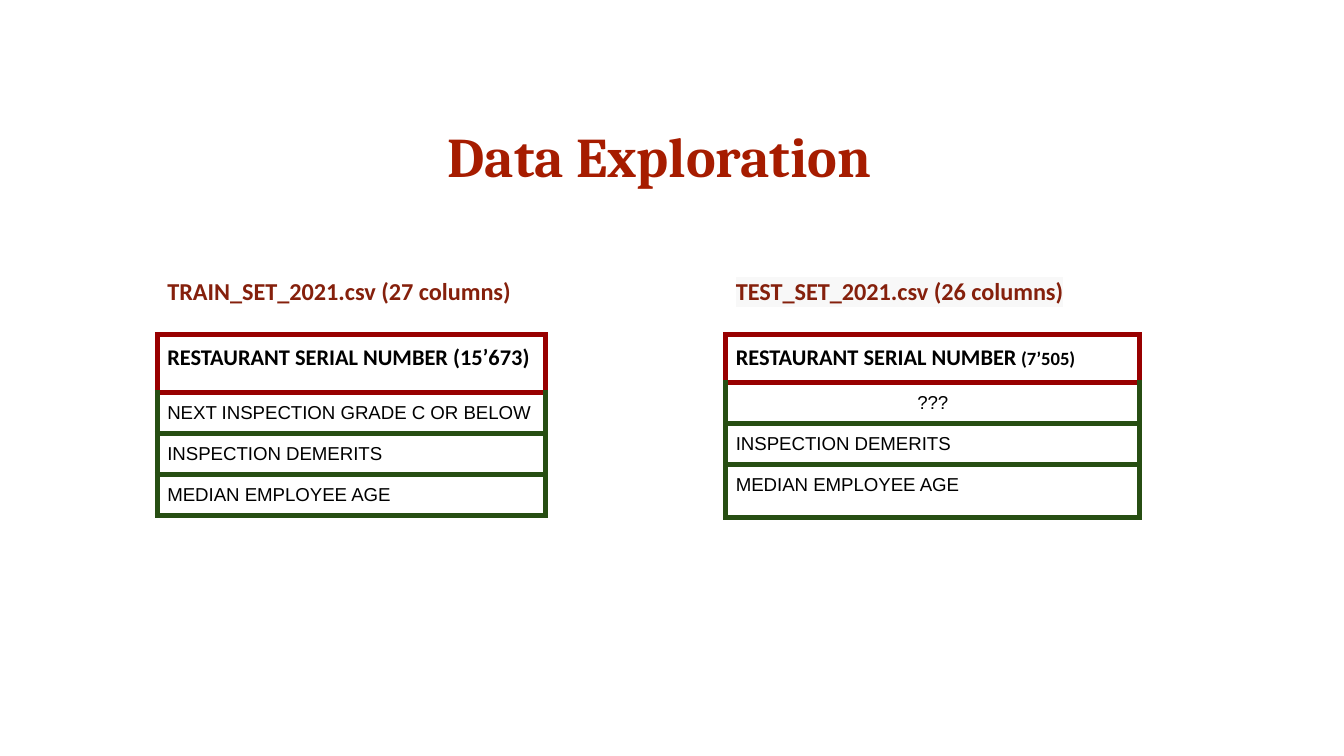
from dataclasses import dataclass

from lxml.etree import SubElement
from pptx import Presentation
from pptx.dml.color import RGBColor
from pptx.enum.shapes import MSO_SHAPE
from pptx.enum.text import MSO_ANCHOR, PP_ALIGN
from pptx.oxml.ns import qn
from pptx.util import Inches, Pt


@dataclass(frozen=True)
class Theme:
    title: str = "A61C00"
    caption: str = "85200C"
    text: str = "000000"
    paper: str = "FFFFFF"
    highlight: str = "F8F8F8"
    key_border: str = "980000"
    field_border: str = "274E13"
    title_size: int = 30
    caption_size: int = 13
    key_size: int = 12
    field_size: int = 10
    border: int = 3
    title_inset: float = 7.2
    inset: float = 5.4


THEME = Theme()
WIDTH = 10
HEIGHT = WIDTH * 9 / 16
TITLE = "Data Exploration"
UNKNOWN = "???"
DATASETS = [
    {
        "caption": "TRAIN_SET_2021.csv (27 columns)",
        "highlighted": False,
        "key": [("RESTAURANT SERIAL NUMBER (15’673)", THEME.key_size)],
        "fields": ["NEXT INSPECTION GRADE C OR BELOW", "INSPECTION DEMERITS",
                   "MEDIAN EMPLOYEE AGE"],
        "left": 1.17, "width": 2.89, "caption_width": 2.89,
        "rows": [0.43, 0.3, 0.3, 0.3],
    },
    {
        "caption": "TEST_SET_2021.csv (26 columns)",
        "highlighted": True,
        "key": [("RESTAURANT SERIAL NUMBER", THEME.key_size),
                (" (7’505)", THEME.field_size)],
        "fields": [UNKNOWN, "INSPECTION DEMERITS", "MEDIAN EMPLOYEE AGE"],
        "left": 5.4, "width": 3.08, "caption_width": 2.84,
        "rows": [0.35, 0.3, 0.3, 0.4],
    },
]
CAPTION_TOP, CAPTION_HEIGHT, TABLE_TOP = 1.98, 0.37, 2.49


def style(paragraph, face, size, color, bold=False, align=PP_ALIGN.LEFT):
    paragraph.alignment = align
    font = paragraph.font
    font.name, font.size, font.bold = face, Pt(size), bold
    font.color.rgb = RGBColor.from_string(color)


def set_margins(holder, inset):
    holder.margin_left = holder.margin_right = Pt(inset)
    holder.margin_top = holder.margin_bottom = Pt(inset)


def add_color(parent, tag, color):
    SubElement(SubElement(parent, qn(tag)), qn("a:srgbClr"), val=color)


def set_borders(cell, color, top_color):
    properties = cell._tc.get_or_add_tcPr()
    for side in "LRTB":
        line = SubElement(properties, qn(f"a:ln{side}"), w=str(Pt(THEME.border)))
        add_color(line, "a:solidFill", top_color if side == "T" else color)


def add_title(slide):
    title = slide.shapes.title
    title.left, title.top = Inches(3.23), Inches(0.8)
    title.width, title.height = Inches(3.54), Inches(0.71)
    frame = title.text_frame
    frame.text = TITLE
    set_margins(frame, THEME.title_inset)
    style(frame.paragraphs[0], "Cambria", THEME.title_size, THEME.title, bold=True)


def add_caption(slide, dataset):
    box = slide.shapes.add_shape(
        MSO_SHAPE.RECTANGLE, Inches(dataset["left"]), Inches(CAPTION_TOP),
        Inches(dataset["caption_width"]), Inches(CAPTION_HEIGHT))
    box.shadow.inherit = False
    box.fill.background()
    box.line.color.rgb = RGBColor.from_string(THEME.paper)
    box.line.width = Pt(0.75)
    frame = box.text_frame
    frame.word_wrap = True
    frame.vertical_anchor = MSO_ANCHOR.TOP
    set_margins(frame, THEME.inset)
    paragraph = frame.paragraphs[0]
    run = paragraph.add_run()
    run.text = dataset["caption"]
    style(paragraph, "Calibri", THEME.caption_size, THEME.caption, bold=True)
    if dataset["highlighted"]:
        add_color(run._r.get_or_add_rPr(), "a:highlight", THEME.highlight)


def fill_key(paragraph, parts):
    style(paragraph, "Calibri", THEME.key_size, THEME.text, bold=True)
    for text, size in parts:
        run = paragraph.add_run()
        run.text = text
        if size != THEME.key_size:
            run.font.size = Pt(size)


def fill_field(paragraph, field):
    paragraph.text = field
    align = PP_ALIGN.CENTER if field == UNKNOWN else PP_ALIGN.LEFT
    style(paragraph, "Arial", THEME.field_size, THEME.text, align=align)


def add_columns_table(slide, dataset):
    heights = dataset["rows"]
    table = slide.shapes.add_table(
        len(heights), 1, Inches(dataset["left"]), Inches(TABLE_TOP),
        Inches(dataset["width"]), Inches(sum(heights))).table
    table.first_row = table.horz_banding = False
    for index, height in enumerate(heights):
        table.rows[index].height = Inches(height)
        cell = table.cell(index, 0)
        set_margins(cell, THEME.inset)
        set_borders(cell,
                    THEME.field_border if index else THEME.key_border,
                    THEME.field_border if index > 1 else THEME.key_border)
        cell.fill.background()
        paragraph = cell.text_frame.paragraphs[0]
        if index:
            fill_field(paragraph, dataset["fields"][index - 1])
        else:
            fill_key(paragraph, dataset["key"])


def main():
    deck = Presentation()
    deck.slide_width, deck.slide_height = Inches(WIDTH), Inches(HEIGHT)
    slide = deck.slides.add_slide(deck.slide_layouts.get_by_name("Title Only"))
    slide.background.fill.solid()
    slide.background.fill.fore_color.rgb = RGBColor.from_string(THEME.paper)
    add_title(slide)
    for dataset in DATASETS:
        add_columns_table(slide, dataset)
    for dataset in DATASETS:
        add_caption(slide, dataset)
    deck.save("out.pptx")


if __name__ == "__main__":
    main()
